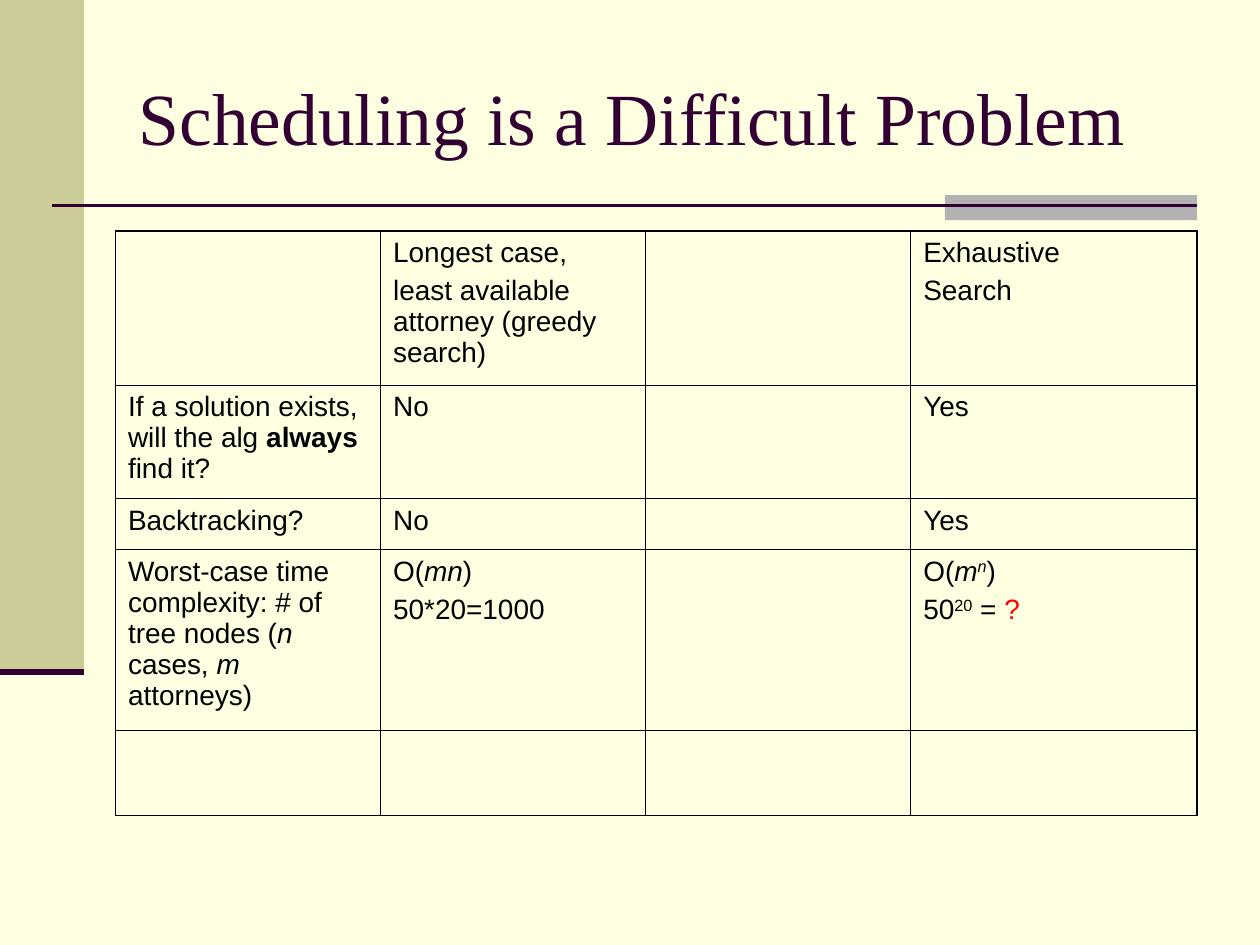
from lxml import etree
from pptx import Presentation
from pptx import util as u
from pptx.dml.color import RGBColor
from pptx.enum import shapes, text
from pptx.oxml.ns import qn

COLORS = {
    "background": "FFFFE1",
    "sidebar": "CCCC99",
    "accent": "B2B2B2",
    "title": "330033",
    "text": "000000",
    "question": "FF0000",
}

TITLE = "Scheduling is a Difficult Problem"
ITALIC = {"italic": True}
SUPERSCRIPT = {"baseline": 30}

# Each cell is a list of paragraphs, each paragraph a list of (text, format) runs.
ROWS = [
    [
        [],
        [[("Longest case,", {})], [("least available attorney (greedy search)", {})]],
        [],
        [[("Exhaustive", {})], [("Search", {})]],
    ],
    [
        [[("If a solution exists, will the alg ", {}), ("always", {"bold": True}), (" find it?", {})]],
        [[("No", {})]],
        [],
        [[("Yes", {})]],
    ],
    [[[("Backtracking?", {})]], [[("No", {})]], [], [[("Yes", {})]]],
    [
        [[("Worst-case time complexity: # of tree nodes (", {}), ("n", ITALIC),
          (" cases, ", {}), ("m", ITALIC), (" attorneys)", {})]],
        [[("O(", {}), ("mn", ITALIC), (")", {})], [("50*20=1000", {})]],
        [],
        [[("O(", {}), ("m", ITALIC), ("n", ITALIC | SUPERSCRIPT), (")", {})],
         [("50", {}), ("20", SUPERSCRIPT), (" = ", {}), ("?", {"color": "question"})]],
    ],
    [[], [], [], []],
]

COLUMN_WIDTHS = [151.5, 151.5, 151.5, 163.5]
ROW_HEIGHTS = [88, 65, 28.8, 103.4, 48.4]
TABLE_LEFT, TABLE_TOP = 66, 132
OUTER_BORDER, INNER_BORDER = 1.08, 0.45

# left, top, width, height, colour
BLOCKS = [(0, 0, 48, 384, "sidebar"), (540, 111.5, 144, 14.4, "accent")]
# left, right, y, line width
RULES = [(30, 684, 117.5, 1.5), (0, 48, 384, 3.5)]


def rgb(name):
    return RGBColor.from_string(COLORS[name])


def add_run(paragraph, content, size=16, font="Arial", color="text",
            bold=False, italic=False, baseline=0):
    run = paragraph.add_run()
    run.text = content
    run.font.size = u.Pt(size)
    run.font.name = font
    run.font.bold = bold
    run.font.italic = italic
    run.font.color.rgb = rgb(color)
    if baseline:
        run.font._element.set("baseline", str(baseline * 1000))


def add_block(slide, left, top, width, height, color):
    block = slide.shapes.add_shape(
        shapes.MSO_SHAPE.RECTANGLE, u.Pt(left), u.Pt(top), u.Pt(width), u.Pt(height))
    block.shadow.inherit = False
    block.fill.solid()
    block.fill.fore_color.rgb = rgb(color)
    block.line.fill.background()


def add_rule(slide, left, right, y, width):
    rule = slide.shapes.add_connector(
        shapes.MSO_CONNECTOR.STRAIGHT, u.Pt(left), u.Pt(y), u.Pt(right), u.Pt(y))
    rule.line.color.rgb = rgb("title")
    rule.line.width = u.Pt(width)
    etree.SubElement(rule._element.spPr, qn("a:effectLst"))


def set_borders(cell, widths):
    """Draw cell borders; widths maps L, R, T, B, in that order, to points."""
    properties = cell._tc.get_or_add_tcPr()
    for side, width in widths.items():
        line = etree.SubElement(properties, qn(f"a:ln{side}"), w=str(int(u.Pt(width))))
        fill = etree.SubElement(line, qn("a:solidFill"))
        etree.SubElement(fill, qn("a:srgbClr"), val=COLORS["text"])


def fill_cell(cell, paragraphs):
    cell.margin_left = cell.margin_right = u.Pt(7.2)
    cell.margin_top = cell.margin_bottom = u.Pt(3.6)
    frame = cell.text_frame
    for index, runs in enumerate(paragraphs):
        paragraph = frame.add_paragraph() if index else frame.paragraphs[0]
        if index:
            paragraph.space_before = u.Pt(4)
        for content, style in runs:
            add_run(paragraph, content, **style)


def add_comparison_table(slide):
    frame = slide.shapes.add_table(
        len(ROWS), len(COLUMN_WIDTHS), u.Pt(TABLE_LEFT), u.Pt(TABLE_TOP),
        u.Pt(sum(COLUMN_WIDTHS)), u.Pt(sum(ROW_HEIGHTS)))
    table = frame.table
    table.first_row = table.horz_banding = False
    for column, width in zip(table.columns, COLUMN_WIDTHS):
        column.width = u.Pt(width)
    last_row, last_column = len(ROWS) - 1, len(COLUMN_WIDTHS) - 1
    for r, row in enumerate(ROWS):
        table.rows[r].height = u.Pt(ROW_HEIGHTS[r])
        for c, paragraphs in enumerate(row):
            cell = table.cell(r, c)
            on_edge = {"L": c == 0, "R": c == last_column, "T": r == 0, "B": r == last_row}
            set_borders(cell, {side: OUTER_BORDER if outer else INNER_BORDER
                               for side, outer in on_edge.items()})
            cell.fill.background()
            fill_cell(cell, paragraphs)


def add_title(slide):
    title = slide.shapes.title
    title.left, title.top, title.width, title.height = map(u.Pt, (72, 21.6, 612, 90))
    frame = title.text_frame
    frame.word_wrap = True
    frame.auto_size = text.MSO_AUTO_SIZE.NONE
    frame.vertical_anchor = text.MSO_ANCHOR.MIDDLE
    paragraph = frame.paragraphs[0]
    paragraph.alignment = text.PP_ALIGN.LEFT
    add_run(paragraph, TITLE, size=42, font="Times New Roman", color="title")


def main():
    presentation = Presentation()
    presentation.slide_width, presentation.slide_height = u.Pt(720), u.Pt(540)
    slide = presentation.slides.add_slide(presentation.slide_layouts[5])
    slide.background.fill.solid()
    slide.background.fill.fore_color.rgb = rgb("background")
    for block in BLOCKS:
        add_block(slide, *block)
    for rule in RULES:
        add_rule(slide, *rule)
    add_title(slide)
    add_comparison_table(slide)
    presentation.save("out.pptx")


if __name__ == "__main__":
    main()
